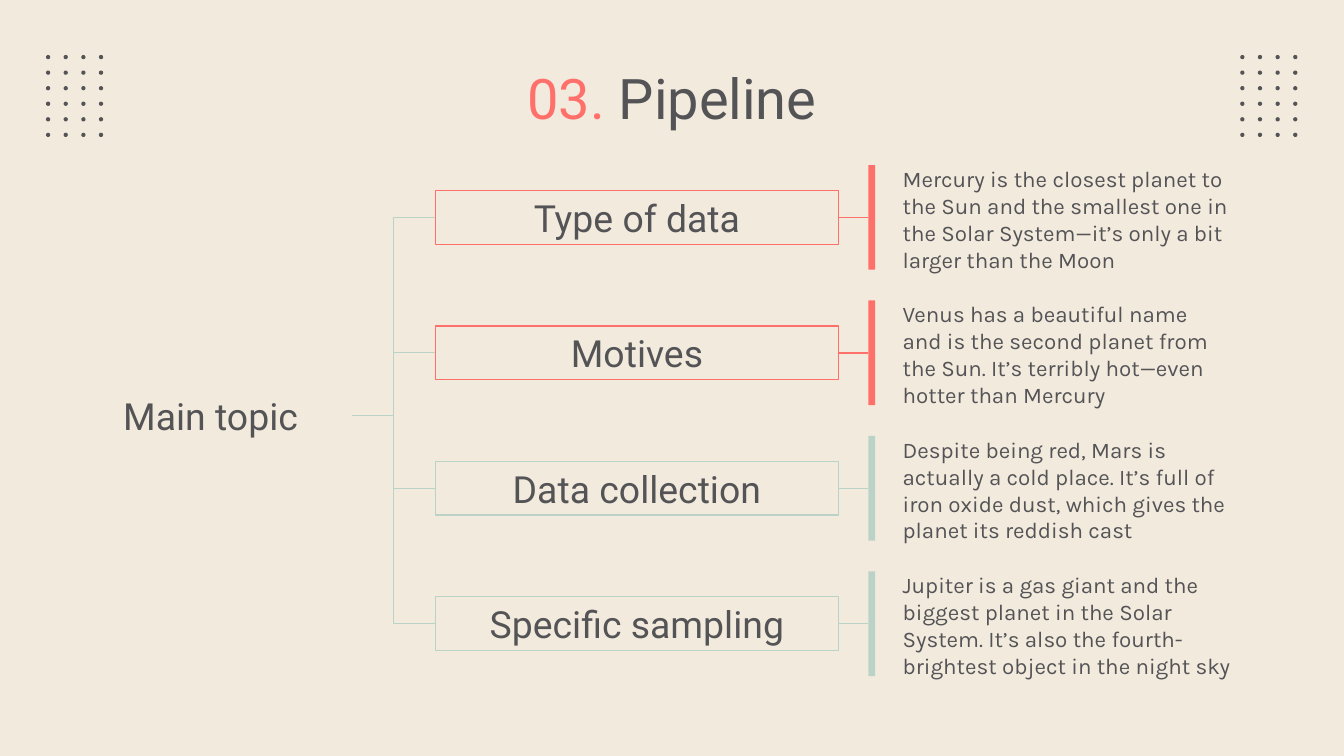
from dataclasses import dataclass
from lxml.etree import SubElement
from pptx import Presentation
from pptx.dml.color import RGBColor
from pptx.enum.shapes import MSO_CONNECTOR, MSO_SHAPE
from pptx.enum.text import MSO_ANCHOR, PP_ALIGN
from pptx.oxml.ns import qn
from pptx.util import Cm, Pt


@dataclass(frozen=True)
class Theme:
    paper: RGBColor = RGBColor.from_string("F2EADD")
    ink: RGBColor = RGBColor.from_string("545457")
    coral: RGBColor = RGBColor.from_string("FF706B")
    sage: RGBColor = RGBColor.from_string("BBD3C7")
    head: str = "Roboto"
    body: str = "Karla"
    title_size: Pt = Pt(30)
    label_size: Pt = Pt(20)
    body_size: Pt = Pt(12)
    line: Pt = Pt(0.75)


T = Theme()
STAGES = [
    ("Type of data", T.coral, 0,
     "Mercury is the closest planet to the Sun and the smallest one in the "
     "Solar System—it’s only a bit larger than the Moon"),
    ("Motives", T.coral, 0.51,
     "Venus has a beautiful name and is the second planet from the Sun. "
     "It’s terribly hot—even hotter than Mercury"),
    ("Data collection", T.sage, 0,
     "Despite being red, Mars is actually a cold place. It’s full of iron "
     "oxide dust, which gives the planet its reddish cast"),
    ("Specific sampling", T.sage, 0,
     "Jupiter is a gas giant and the biggest planet in the Solar System. "
     "It’s also the fourth-brightest object in the night sky"),
]


def apply(obj, values):
    for name, value in values.items():
        setattr(obj, name, value)


def cms(*lengths):
    return [Cm(v) for v in lengths]


def write(sp, runs, size, font, align=PP_ALIGN.LEFT,
          anchor=MSO_ANCHOR.MIDDLE, margins=(0.25, 0.25, 0.25, 0.25)):
    tf = sp.text_frame
    sides = ("margin_left", "margin_top", "margin_right", "margin_bottom")
    apply(tf, {"word_wrap": True, "vertical_anchor": anchor,
               **dict(zip(sides, cms(*margins)))})
    p = tf.paragraphs[0]
    p.alignment = align
    for text, color in runs:
        r = p.add_run()
        r.text = text
        apply(r.font, {"size": size, "name": font})
        r.font.color.rgb = color


def add_block(shapes, kind, box, fill=None, line=None):
    sp = shapes.add_shape(kind, *cms(*box))
    sp.shadow.inherit = False
    for part, color in ((sp.fill, fill), (sp.line.fill, line)):
        if color is None:
            part.background()
        else:
            part.solid()
            part.fore_color.rgb = color
    if line is not None:
        sp.line.width = T.line
    return sp


def add_link(s, kind, start, end, color):
    c = s.shapes.add_connector(kind, *cms(*start, *end))
    c.line.color.rgb = color
    c.line.width = T.line
    SubElement(c._element.spPr, qn("a:effectLst"))


def add_dots(s, box, cols=4, rows=6, dot=0.08):
    x, y, w, h = box
    group = s.shapes.add_group_shape()
    dx, dy = (w - dot) / (cols - 1), (h - dot) / (rows - 1)
    for row in range(rows):
        for col in range(cols):
            spot = (x + col * dx, y + row * dy, dot, dot)
            add_block(group.shapes, MSO_SHAPE.OVAL, spot, fill=T.ink)


def add_title(s, box):
    sp = s.shapes.add_textbox(*cms(*box))
    write(sp, [("03. ", T.coral), ("Pipeline", T.ink)], T.title_size, T.head,
          PP_ALIGN.CENTER, MSO_ANCHOR.TOP, (0.25, 0.18, 0.25, 0.25))


def add_topic(s, box):
    sp = s.shapes.add_textbox(*cms(*box))
    write(sp, [("Main topic", T.ink)], T.label_size, T.head)


def add_stage(s, box, root, stage):
    label, color, right, text = stage
    x, y, w, h = box
    label_w, label_h, bar_x, bar_w, text_w = 7.62, 1.02, 8.18, 0.13, 6.35
    mid = y + h / 2
    sp = add_block(s.shapes, MSO_SHAPE.RECTANGLE,
                   (x, mid - label_h / 2, label_w, label_h), line=color)
    write(sp, [(label, T.ink)], T.label_size, T.head, PP_ALIGN.CENTER)
    add_block(s.shapes, MSO_SHAPE.RECTANGLE, (x + bar_x, y, bar_w, h), fill=color)
    add_link(s, MSO_CONNECTOR.ELBOW, root, (x, mid), T.sage)
    add_link(s, MSO_CONNECTOR.STRAIGHT, (x + label_w, mid), (x + bar_x, mid), color)
    sp = s.shapes.add_textbox(*cms(x + w - text_w, y, text_w, h))
    write(sp, [(text, T.ink)], T.body_size, T.body,
          anchor=MSO_ANCHOR.TOP, margins=(0, 0, right, 0))


def add_stages(s, box, root):
    x, y, w, h = box
    row_h = 1.98
    pitch = (h - row_h) / (len(STAGES) - 1)
    for i, stage in enumerate(STAGES):
        add_stage(s, (x, y + i * pitch, w, row_h), root, stage)


def main():
    prs = Presentation()
    apply(prs, {"slide_width": Cm(25.4), "slide_height": Cm(14.29)})
    s = prs.slides.add_slide(prs.slide_layouts[6])
    s.background.fill.solid()
    s.background.fill.fore_color.rgb = T.paper
    for x in (0.87, 23.44):
        add_dots(s, (x, 1.04, 1.08, 1.55))
    add_title(s, (2, 1.02, 21.4, 1.6))
    topic = (2.08, 7.19, 4.57, 1.32)
    add_topic(s, topic)
    x, y, w, h = topic
    add_stages(s, (8.23, 3.12, 15.18, 9.66), (x + w, y + h / 2))
    prs.save("out.pptx")


if __name__ == "__main__":
    main()
